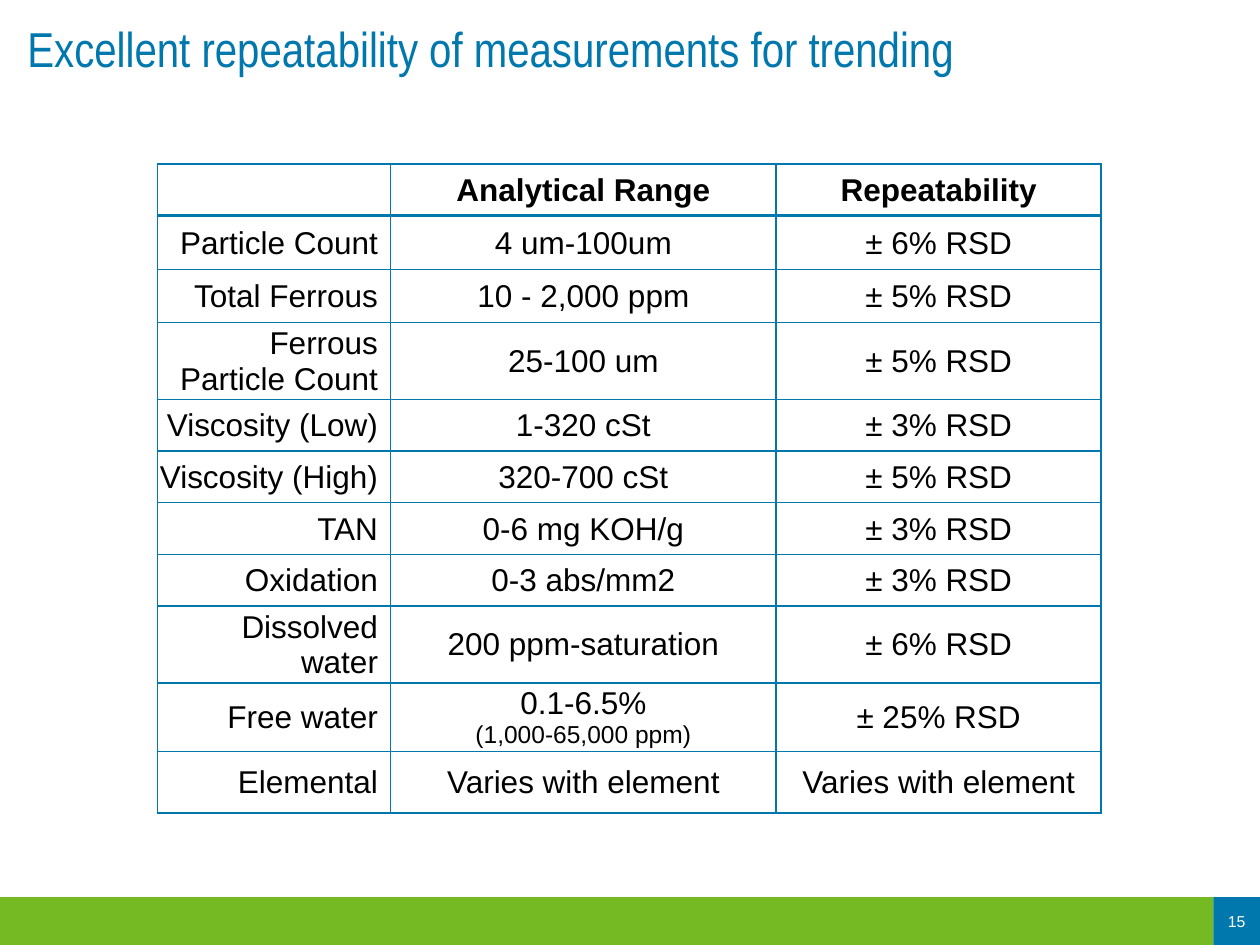
import dataclasses

import lxml.etree
import pptx
import pptx.dml.color
import pptx.enum.shapes
import pptx.enum.text
import pptx.oxml.ns
import pptx.util

Inches = pptx.util.Inches
Align = pptx.enum.text.PP_ALIGN
Anchor = pptx.enum.text.MSO_ANCHOR


@dataclasses.dataclass(frozen=True)
class Theme:
    blue: str = "0078AE"
    green: str = "75BA22"
    black: str = "000000"
    white: str = "FFFFFF"
    font: str = "Arial"
    narrow: str = "Arial Narrow"
    title: int = 28
    body: int = 18
    note: int = 14
    page: int = 9


THEME = Theme()

HEADS = ("", "Analytical Range", "Repeatability")
TESTS = (
    ("Particle Count", "4 um-100um", "± 6% RSD"),
    ("Total Ferrous", "10 - 2,000 ppm", "± 5% RSD"),
    ("Ferrous Particle Count", "25-100 um", "± 5% RSD"),
    ("Viscosity (Low)", "1-320 cSt", "± 3% RSD"),
    ("Viscosity (High)", "320-700 cSt", "± 5% RSD"),
    ("TAN", "0-6 mg KOH/g", "± 3% RSD"),
    ("Oxidation", "0-3 abs/mm2", "± 3% RSD"),
    ("Dissolved water", "200 ppm-saturation", "± 6% RSD"),
    ("Free water", "0.1-6.5%\n(1,000-65,000 ppm)", "± 25% RSD"),
    ("Elemental", "Varies with element", "Varies with element"),
)
WIDTHS = (1.85, 3.06, 2.58)
HEIGHTS = (0.41, 0.43, 0.42, 0.58, 0.41, 0.41, 0.41, 0.41, 0.41, 0.49, 0.49)


def paint(run, size, color, font=THEME.font, bold=False):
    run.font.name = font
    run.font.size = pptx.util.Pt(size)
    run.font.bold = bold
    run.font.color.rgb = pptx.dml.color.RGBColor.from_string(color)


def add_title(slide, box, text):
    frame = slide.shapes.add_textbox(*map(Inches, box)).text_frame
    frame.text = text
    frame.word_wrap = True
    frame.vertical_anchor = Anchor.BOTTOM
    line = frame.paragraphs[0]
    line.line_spacing = 0.9
    paint(line.runs[0], THEME.title, THEME.blue, THEME.narrow)


def add_band(slide, box, color):
    kind = pptx.enum.shapes.MSO_SHAPE.RECTANGLE
    band = slide.shapes.add_shape(kind, *map(Inches, box))
    band.shadow.inherit = False
    band.fill.solid()
    band.fill.fore_color.rgb = pptx.dml.color.RGBColor.from_string(color)
    band.line.fill.background()
    return band


def add_footer(slide, box, number):
    left, top, width, height = box
    side = 0.37
    split = width - side
    add_band(slide, (left, top, split, height), THEME.green)
    page = add_band(slide, (left + split, top, side, height), THEME.blue)
    frame = page.text_frame
    frame.text = number
    frame.word_wrap = False
    frame.vertical_anchor = Anchor.MIDDLE
    frame.paragraphs[0].alignment = Align.CENTER
    paint(frame.paragraphs[0].runs[0], THEME.page, THEME.white)


def set_edges(cell, points):
    props = cell._tc.get_or_add_tcPr()
    for place, (side, width) in enumerate(points.items()):
        edge = lxml.etree.Element(pptx.oxml.ns.qn(f"a:ln{side}"))
        edge.set("w", str(pptx.util.Pt(width)))
        fill = lxml.etree.SubElement(edge, pptx.oxml.ns.qn("a:solidFill"))
        color = lxml.etree.SubElement(fill, pptx.oxml.ns.qn("a:srgbClr"))
        color.set("val", THEME.blue)
        props.insert(place, edge)


def fill_cell(cell, text, row, col):
    head = row == 0
    label = col == 0
    cell.fill.background()
    set_edges(cell, {"L": 1, "R": 1, "T": 2 if row == 1 else 1, "B": 2 if head else 1})
    cell.vertical_anchor = Anchor.MIDDLE
    cell.margin_left = cell.margin_top = Inches(0.01)
    cell.margin_right = Inches(0.1 if label else 0.01)
    cell.margin_bottom = 0
    cell.text_frame.text = text
    for index, line in enumerate(cell.text_frame.paragraphs):
        line.alignment = Align.RIGHT if label else Align.CENTER
        for run in line.runs:
            paint(run, THEME.note if index else THEME.body, THEME.black, bold=head)


def add_grid(slide, box):
    rows = (HEADS, *TESTS)
    frame = slide.shapes.add_table(len(rows), len(HEADS), *map(Inches, box))
    table = frame.table
    table.first_row = False
    table.horz_banding = False
    for column, width in zip(table.columns, WIDTHS):
        column.width = Inches(width)
    for row, height in zip(table.rows, HEIGHTS):
        row.height = Inches(height)
    for row, texts in enumerate(rows):
        for col, text in enumerate(texts):
            fill_cell(table.cell(row, col), text, row, col)


def main():
    deck = pptx.Presentation()
    deck.slide_width = Inches(10)
    deck.slide_height = Inches(7.5)
    slide = deck.slides.add_slide(deck.slide_layouts[6])
    add_footer(slide, (0, 7.12, 10, 0.38), "15")
    add_title(slide, (0.12, 0, 9.87, 0.67), "Excellent repeatability of measurements for trending")
    add_grid(slide, (1.25, 1.3, sum(WIDTHS), sum(HEIGHTS)))
    deck.save("out.pptx")


if __name__ == "__main__":
    main()
